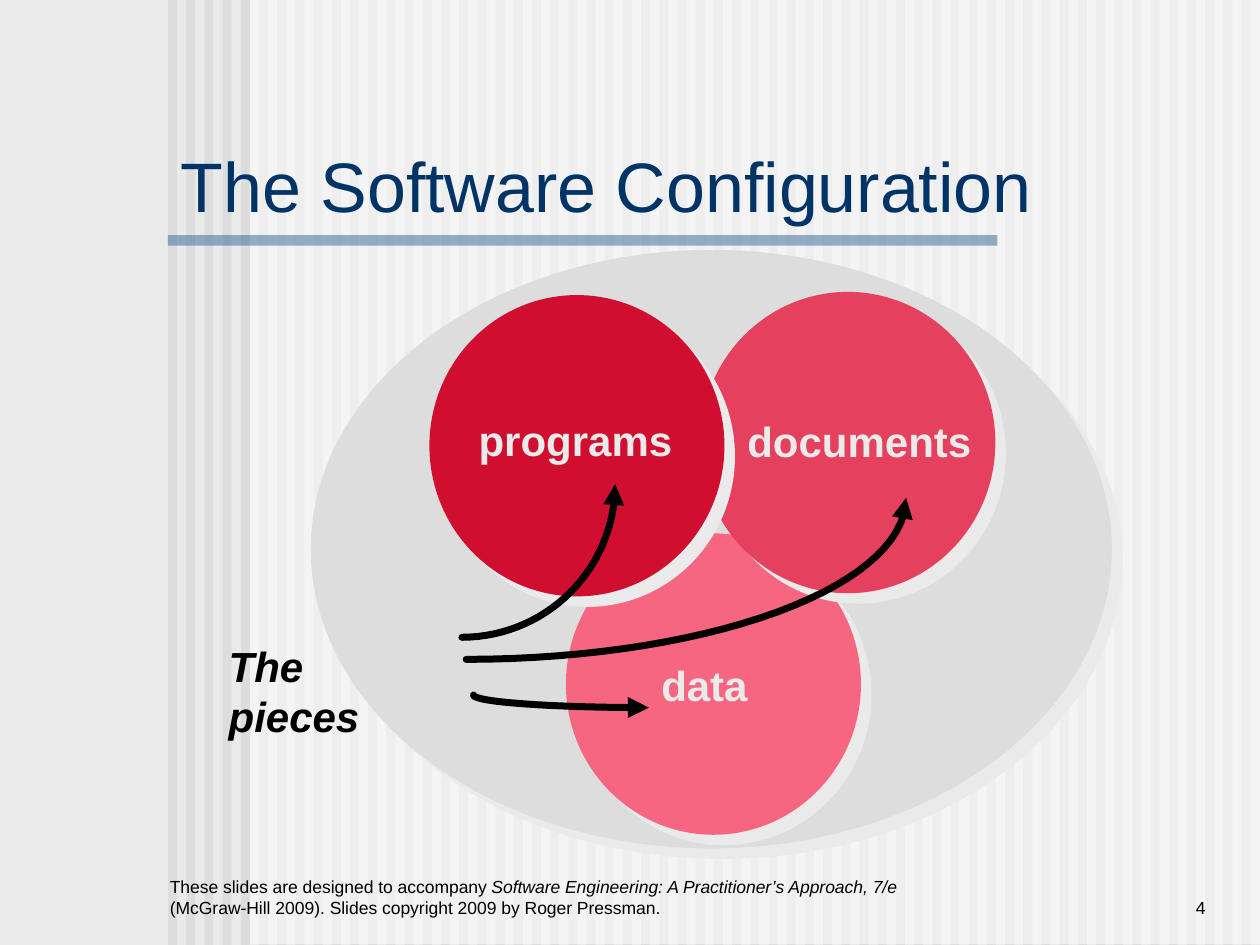
from dataclasses import dataclass
from math import cos, radians, sin

from lxml.etree import SubElement
from pptx import Presentation
from pptx.dml.color import RGBColor
from pptx.enum.shapes import MSO_SHAPE as Preset
from pptx.enum.text import MSO_ANCHOR as Anchor, MSO_AUTO_SIZE as AutoSize, PP_ALIGN as Align
from pptx.oxml.ns import qn
from pptx.shapes.autoshape import Shape
from pptx.slide import Slide
from pptx.util import Inches, Pt

COLUMNS, ROWS = 120, 90
SLIDE_WIDTH, SLIDE_HEIGHT = Inches(10), Inches(7.5)
STRIPE_COUNT, STRIPE_PITCH = 60, 1.733
ARC_STEPS = 30

PALE = RGBColor(0xEA, 0xEA, 0xEA)
GREY = RGBColor(0xDD, 0xDD, 0xDD)
WHITE = RGBColor(0xFF, 0xFF, 0xFF)
BLACK = RGBColor(0x00, 0x00, 0x00)
NAVY = RGBColor(0x00, 0x33, 0x66)
BLUE = RGBColor(0x33, 0x66, 0x99)
PINK = RGBColor(0xF7, 0x66, 0x81)
ROSE = RGBColor(0xE5, 0x40, 0x5D)
CRIMSON = RGBColor(0xCF, 0x0E, 0x30)


@dataclass(frozen=True)
class Box:
    """A rectangle in grid columns and rows."""
    left: float
    top: float
    width: float
    height: float

    def frame(self) -> tuple[int, int, int, int]:
        """Return left, top, width and height in slide units."""
        return (across(self.left), down(self.top), across(self.width), down(self.height))


@dataclass(frozen=True)
class Disc:
    """A filled ellipse with an offset shadow."""
    box: Box
    color: RGBColor


@dataclass(frozen=True)
class Label:
    """A bold single-line caption."""
    text: str
    box: Box
    color: RGBColor = PALE
    italic: bool = False


@dataclass(frozen=True)
class Arrow:
    """A quarter ellipse whose arrowhead sits at its start angle."""
    center_column: float
    center_row: float
    column_radius: float
    row_radius: float
    start_angle: int = 0


DISCS = (
    Disc(Box(29.6, 23.8, 76.3, 57), GREY),
    Disc(Box(53.9, 50.8, 28.1, 28.7), PINK),
    Disc(Box(66.7, 27.8, 28.1, 28.7), ROSE),
    Disc(Box(40.9, 28.1, 28.1, 28.7), CRIMSON),
)
LABELS = (
    Label("programs", Box(44.4, 38.9, 20.9, 6)),
    Label("documents", Box(70, 39, 23.8, 6)),
    Label("data", Box(61.8, 62.2, 10.6, 6)),
    Label("The pieces", Box(20.6, 60.4, 23, 6), BLACK, True),
)
ARROWS = (
    Arrow(61.8, 66.2, 16.7, 1.2, 90),
    Arrow(44.4, 47.4, 41.9, 15.4),
    Arrow(44, 46.1, 14.6, 14.6),
)


def across(columns: float) -> int:
    """Convert grid columns to slide units."""
    return round(SLIDE_WIDTH * columns / COLUMNS)


def down(rows: float) -> int:
    """Convert grid rows to slide units."""
    return round(SLIDE_HEIGHT * rows / ROWS)


def add_filled(slide: Slide, preset: Preset, box: Box, color: RGBColor, alpha: int = 100) -> Shape:
    """Add a borderless shape, optionally see-through."""
    shape = slide.shapes.add_shape(preset, *box.frame())
    shape.shadow.inherit = False
    shape.fill.solid()
    shape.fill.fore_color.rgb = color
    shape.line.fill.background()
    if alpha < 100:
        tint = shape.element.spPr.find(qn("a:solidFill")).find(qn("a:srgbClr"))
        SubElement(tint, qn("a:alpha"), val=str(alpha * 1000))
    return shape


def add_backdrop(slide: Slide) -> None:
    """Draw the striped background and the rule below the title."""
    slide.background.fill.solid()
    slide.background.fill.fore_color.rgb = PALE
    for index in range(STRIPE_COUNT):
        stripe = Box(16 + index * STRIPE_PITCH, 0, STRIPE_PITCH / 2, ROWS)
        add_filled(slide, Preset.RECTANGLE, stripe, GREY)
    add_filled(slide, Preset.RECTANGLE, Box(23.8, -0.1, 96.2, ROWS), WHITE, 50)
    add_filled(slide, Preset.RECTANGLE, Box(16, 22.4, 79, 1), BLUE, 50)


def add_disc(slide: Slide, disc: Disc) -> None:
    """Draw an ellipse and its hard diagonal shadow."""
    shape = add_filled(slide, Preset.OVAL, disc.box, disc.color)
    effects = shape.element.spPr.find(qn("a:effectLst"))
    shadow = SubElement(effects, qn("a:outerShdw"), blurRad="0", dist=str(Pt(8.5)),
                        dir=str(45 * 60000), algn="ctr", rotWithShape="0")
    SubElement(shadow, qn("a:srgbClr"), val=str(PALE))


def add_label(slide: Slide, label: Label) -> None:
    """Write a caption that does not wrap."""
    frame = slide.shapes.add_textbox(*label.box.frame()).text_frame
    frame.word_wrap = False
    frame.auto_size = AutoSize.SHAPE_TO_FIT_TEXT
    paragraph = frame.paragraphs[0]
    paragraph.text = label.text
    font = paragraph.font
    font.name, font.size, font.bold, font.italic = "Arial", Pt(24), True, label.italic
    font.color.rgb = label.color


def add_arrow(slide: Slide, arrow: Arrow) -> None:
    """Draw a curved arrow through a quarter turn."""
    angles = [radians(arrow.start_angle + 90 * step / ARC_STEPS) for step in range(ARC_STEPS + 1)]
    points = [(across(arrow.center_column + arrow.column_radius * cos(angle)),
               down(arrow.center_row + arrow.row_radius * sin(angle))) for angle in angles]
    builder = slide.shapes.build_freeform(*points[0])
    builder.add_line_segments(points[1:], close=False)
    shape = builder.convert_to_shape()
    shape.shadow.inherit = False
    shape.fill.background()
    shape.line.color.rgb = BLACK
    shape.line.width = Pt(4)
    line = shape.element.spPr.find(qn("a:ln"))
    line.set("cap", "rnd")
    SubElement(line, qn("a:round"))
    SubElement(line, qn("a:headEnd"), type="triangle")


def add_footer(slide: Slide, box: Box, runs: tuple[tuple[str, bool], ...], align: Align) -> None:
    """Write small text at the foot, as pairs of wording and italic."""
    frame = slide.shapes.add_textbox(*box.frame()).text_frame
    frame.word_wrap = True
    frame.vertical_anchor = Anchor.BOTTOM
    paragraph = frame.paragraphs[0]
    paragraph.alignment = align
    paragraph.font.name, paragraph.font.size = "Arial", Pt(10)
    paragraph.font.color.rgb = BLACK
    for text, italic in runs:
        run = paragraph.add_run()
        run.text, run.font.italic = text, italic


def place_title(slide: Slide, text: str) -> None:
    """Format the title placeholder and bring it above the backdrop."""
    title = slide.shapes.title
    title.left, title.top, title.width, title.height = Box(16, 14, 90.4, 7.1).frame()
    frame = title.text_frame
    frame.auto_size = AutoSize.NONE
    frame.vertical_anchor = Anchor.MIDDLE
    paragraph = frame.paragraphs[0]
    paragraph.text, paragraph.alignment = text, Align.LEFT
    paragraph.font.name, paragraph.font.size = "Arial", Pt(40)
    paragraph.font.color.rgb = NAVY
    title.element.getparent().append(title.element)


def main() -> None:
    """Build and save the slide."""
    presentation = Presentation()
    presentation.slide_width, presentation.slide_height = SLIDE_WIDTH, SLIDE_HEIGHT
    slide = presentation.slides.add_slide(presentation.slide_layouts[5])
    add_backdrop(slide)
    add_footer(slide, Box(99, 82, 17, 6), (("4", False),), Align.RIGHT)
    add_footer(slide, Box(15, 82, 72, 6), (
        ("These slides are designed to accompany ", False),
        ("Software Engineering: A Practitioner’s Approach, 7/e ", True),
        ("(McGraw-Hill 2009). Slides copyright 2009 by Roger Pressman.", False),
    ), Align.LEFT)
    place_title(slide, "The Software Configuration")
    for draw, items in ((add_disc, DISCS), (add_label, LABELS), (add_arrow, ARROWS)):
        for item in items:
            draw(slide, item)
    presentation.save("out.pptx")


if __name__ == "__main__":
    main()
